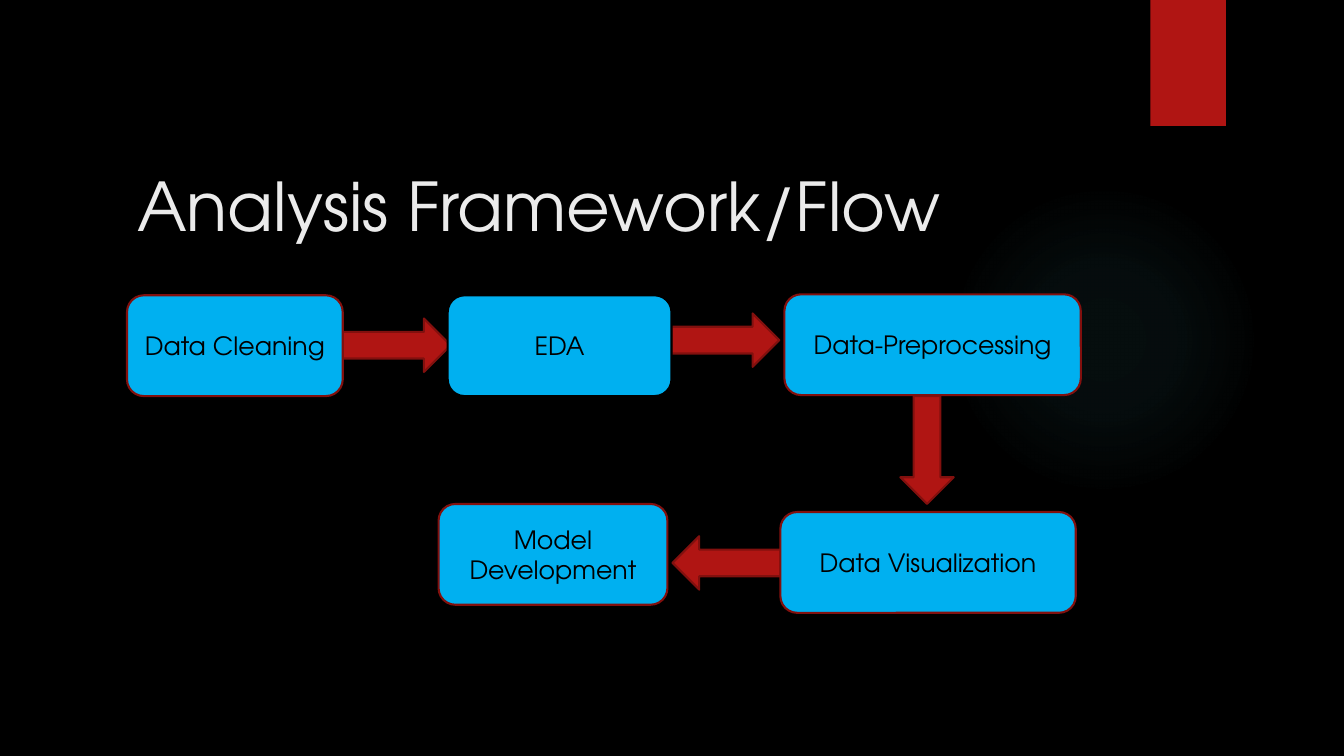
from dataclasses import dataclass

import pptx
import pptx.dml.color
import pptx.enum.shapes
import pptx.enum.text
import pptx.oxml
import pptx.oxml.ns
import pptx.util

Inches = pptx.util.Inches
Pt = pptx.util.Pt
Shape = pptx.enum.shapes.MSO_SHAPE
Align = pptx.enum.text.PP_ALIGN
Anchor = pptx.enum.text.MSO_ANCHOR


@dataclass(frozen=True)
class Theme:
    font: str = "TeX Gyre Adventor"
    background: str = "000000"
    title: str = "EBEBEB"
    step: str = "00B0F0"
    step_text: str = "000000"
    accent: str = "B01513"
    outline: str = "82100E"
    glow: str = "50B9C1"
    title_size: int = 48
    step_size: int = 18
    outline_width: float = 1.5


def rgb(color):
    return pptx.dml.color.RGBColor.from_string(color)


def write(frame, text, *, font, size, color, align, anchor):
    frame.word_wrap = True
    frame.auto_size = pptx.enum.text.MSO_AUTO_SIZE.NONE
    frame.vertical_anchor = anchor
    paragraph = frame.paragraphs[0]
    paragraph.alignment = align
    run = paragraph.add_run()
    run.text = text
    run.font.name = font
    run.font.size = Pt(size)
    run.font.color.rgb = rgb(color)


class FlowSlide:
    def __init__(self, presentation, theme):
        self.theme = theme
        self.slide = presentation.slides.add_slide(presentation.slide_layouts[5])
        fill = self.slide.background.fill
        fill.solid()
        fill.fore_color.rgb = rgb(theme.background)

    def block(self, kind, box, fill, outline=None):
        shape = self.slide.shapes.add_shape(kind, *map(Inches, box))
        shape.shadow.inherit = False
        shape.fill.solid()
        shape.fill.fore_color.rgb = rgb(fill)
        if outline:
            shape.line.color.rgb = rgb(outline)
            shape.line.width = Pt(self.theme.outline_width)
        else:
            shape.line.fill.background()
        return shape

    def glow(self, box, stops):
        """Add a radial glow; stops are (position, opacity) in percent."""
        shape = self.block(Shape.OVAL, box, self.theme.glow)
        stop_xml = "".join(
            f'<a:gs pos="{position * 1000}"><a:srgbClr val="{self.theme.glow}">'
            f'<a:alpha val="{opacity * 1000}"/></a:srgbClr></a:gs>'
            for position, opacity in stops)
        gradient = pptx.oxml.parse_xml(
            f'<a:gradFill {pptx.oxml.ns.nsdecls("a")}><a:gsLst>{stop_xml}</a:gsLst>'
            '<a:path path="circle"><a:fillToRect l="50000" t="50000" r="50000" b="50000"/>'
            '</a:path></a:gradFill>')
        properties = shape._element.spPr
        properties.replace(properties.find(pptx.oxml.ns.qn("a:solidFill")), gradient)

    def title(self, text, box):
        title = self.slide.shapes.title
        title.left, title.top, title.width, title.height = map(Inches, box)
        write(title.text_frame, text, font=self.theme.font, size=self.theme.title_size,
              color=self.theme.title, align=Align.LEFT, anchor=Anchor.TOP)

    def step(self, text, box, outline):
        step = self.block(Shape.ROUNDED_RECTANGLE, box, self.theme.step, outline)
        write(step.text_frame, text, font=self.theme.font, size=self.theme.step_size,
              color=self.theme.step_text, align=Align.CENTER, anchor=Anchor.MIDDLE)

    def arrow(self, kind, left, top):
        length, breadth = 1.07, 0.53
        size = (breadth, length) if kind == Shape.DOWN_ARROW else (length, breadth)
        self.block(kind, (left, top, *size), self.theme.accent, self.theme.outline)


def main():
    presentation = pptx.Presentation()
    presentation.slide_width = Inches(13.33)
    presentation.slide_height = Inches(7.5)
    theme = Theme()
    flow = FlowSlide(presentation, theme)

    flow.glow((9.41, 1.83, 3.08, 3.08), [(0, 7), (36, 6), (69, 0)])
    flow.block(Shape.RECTANGLE, (11.41, 0, 0.75, 1.25), theme.accent)
    flow.title("Analysis Framework/Flow", (1.26, 1.58, 9.65, 2.17))

    for kind, left, top in [
        (Shape.RIGHT_ARROW, 3.4, 3.16),
        (Shape.RIGHT_ARROW, 6.66, 3.11),
        (Shape.DOWN_ARROW, 8.93, 3.93),
        (Shape.LEFT_ARROW, 6.67, 5.32),
    ]:
        flow.arrow(kind, left, top)

    step_height = 1
    for text, left, top, width, outline in [
        ("Data Cleaning", 1.26, 2.93, 2.14, theme.outline),
        ("EDA", 4.44, 2.93, 2.22, theme.background),
        ("Data-Preprocessing", 7.78, 2.92, 2.94, theme.outline),
        ("Data Visualization", 7.74, 5.08, 2.93, theme.outline),
        ("Model Development", 4.35, 5, 2.27, theme.outline),
    ]:
        flow.step(text, (left, top, width, step_height), outline)

    presentation.save("out.pptx")


if __name__ == "__main__":
    main()
